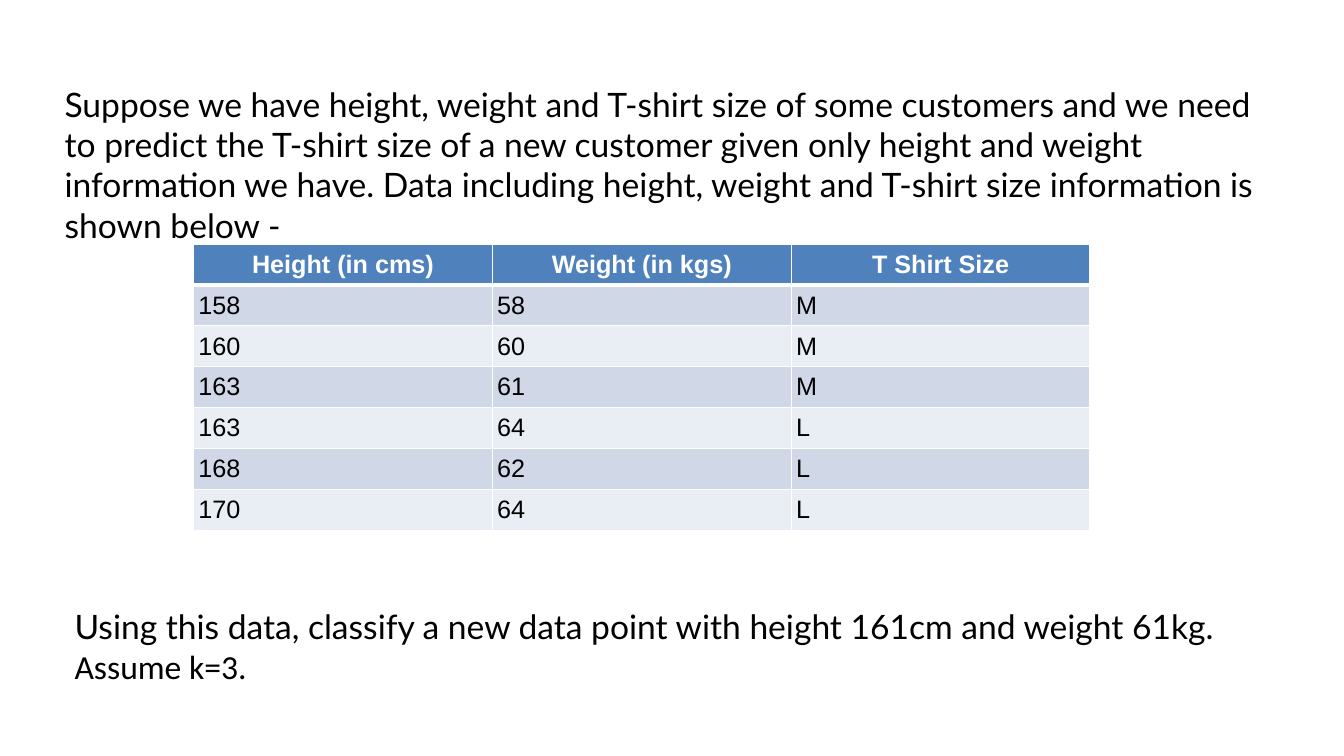
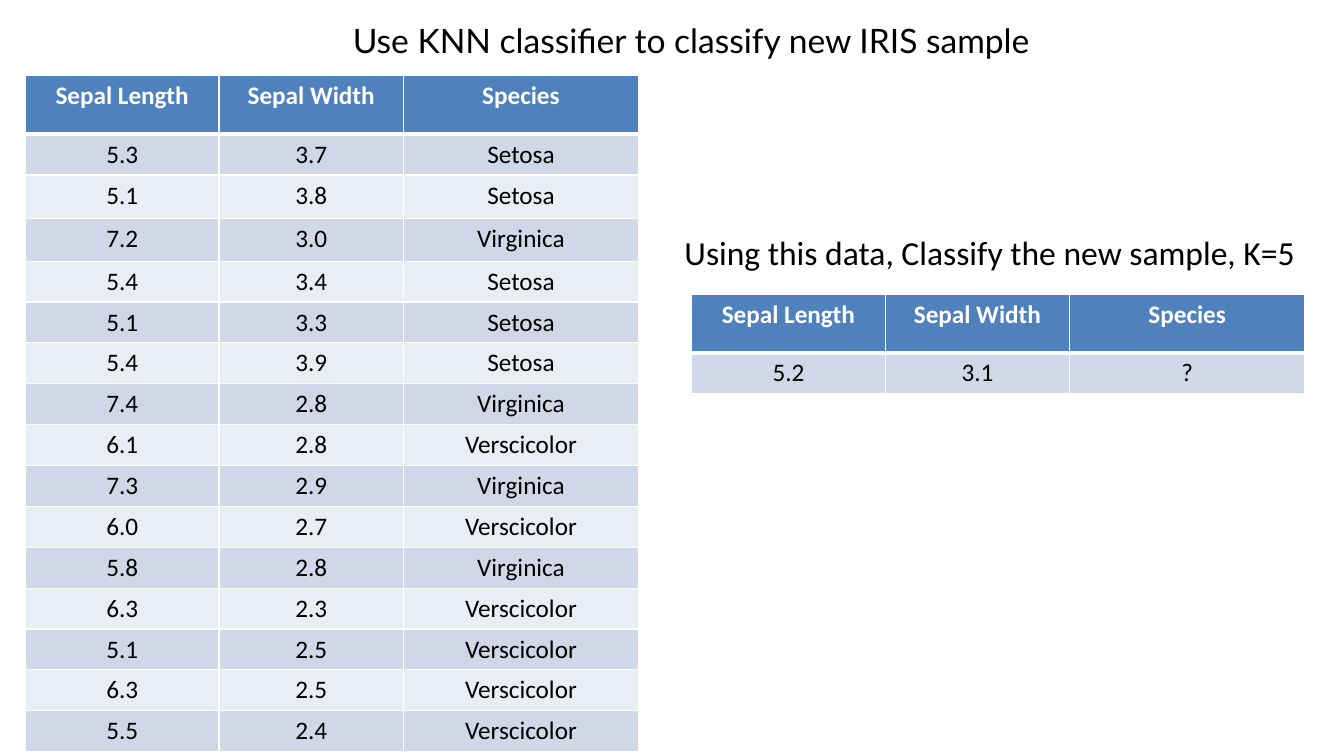
from dataclasses import dataclass

from lxml import etree
from pptx import Presentation
from pptx import util as u
from pptx.dml.color import RGBColor
from pptx.enum import text
from pptx.oxml import ns


@dataclass(frozen=True)
class Theme:
    ink: str = "000000"
    paper: str = "FFFFFF"
    header: str = "4F81BD"
    bands: tuple = ("D0D8E8", "E9EDF4")
    prose_font: str = "Lato"
    plain_font: str = "Calibri"
    data_font: str = "Arial"
    prose_size: int = 24
    table_size: int = 18
    thin: float = 1
    thick: float = 3


THEME = Theme()
ROW = 1.03
IRIS_HEADER = ("Sepal Length", "Sepal Width", "Species")
IRIS_COLUMNS = (4.88, 4.65, 5.92)
IRIS_HEADER_ROW = 1.47

SHIRTS = [
    ("Height (in cms)", "Weight (in kgs)", "T Shirt Size"),
    ("158", "58", "M"),
    ("160", "60", "M"),
    ("163", "61", "M"),
    ("163", "64", "L"),
    ("168", "62", "L"),
    ("170", "64", "L"),
]
IRIS = [
    IRIS_HEADER,
    ("5.3", "3.7", "Setosa"),
    ("5.1", "3.8", "Setosa"),
    ("7.2", "3.0", "Virginica"),
    ("5.4", "3.4", "Setosa"),
    ("5.1", "3.3", "Setosa"),
    ("5.4", "3.9", "Setosa"),
    ("7.4", "2.8", "Virginica"),
    ("6.1", "2.8", "Verscicolor"),
    ("7.3", "2.9", "Virginica"),
    ("6.0", "2.7", "Verscicolor"),
    ("5.8", "2.8", "Virginica"),
    ("6.3", "2.3", "Verscicolor"),
    ("5.1", "2.5", "Verscicolor"),
    ("6.3", "2.5", "Verscicolor"),
    ("5.5", "2.4", "Verscicolor"),
]
NEW_SAMPLE = [IRIS_HEADER, ("5.2", "3.1", "?")]


def style_font(font, name, size, color, bold=False):
    font.name = name
    font.size = u.Pt(size)
    font.bold = bold
    font.color.rgb = RGBColor.from_string(color)


def add_prose(slide, place, spans, inset=True, align=text.PP_ALIGN.LEFT, spacing=None):
    """Add one paragraph made of (words, font name) spans; place is in cm."""
    box = slide.shapes.add_textbox(*map(u.Cm, place))
    frame = box.text_frame
    frame.word_wrap = True
    frame.auto_size = text.MSO_AUTO_SIZE.SHAPE_TO_FIT_TEXT
    if not inset:
        frame.margin_left = frame.margin_right = 0
        frame.margin_top = frame.margin_bottom = 0
    para = frame.paragraphs[0]
    para.alignment = align
    if spacing:
        para.line_spacing = spacing
    style_font(para.font, spans[0][1], THEME.prose_size, THEME.ink)
    for words, font_name in spans:
        span = para.add_run()
        span.text = words
        span.font.name = font_name


def set_borders(cell, top, bottom):
    """Draw the four cell edges; must run before the cell gets its fill."""
    properties = cell._tc.get_or_add_tcPr()
    widths = {"lnL": THEME.thin, "lnR": THEME.thin, "lnT": top, "lnB": bottom}
    for edge, width in widths.items():
        line = etree.SubElement(properties, ns.qn(f"a:{edge}"), w=str(u.Pt(width)))
        fill = etree.SubElement(line, ns.qn("a:solidFill"))
        etree.SubElement(fill, ns.qn("a:srgbClr"), val=THEME.paper)


def style_cell(cell, row, font_name, align):
    is_header = row == 0
    set_borders(
        cell,
        top=THEME.thick if row == 1 else THEME.thin,
        bottom=THEME.thick if is_header else THEME.thin,
    )
    color = THEME.header if is_header else THEME.bands[(row - 1) % 2]
    cell.fill.solid()
    cell.fill.fore_color.rgb = RGBColor.from_string(color)
    para = cell.text_frame.paragraphs[0]
    para.alignment = text.PP_ALIGN.CENTER if is_header else align
    style_font(para.font, font_name, THEME.table_size,
               THEME.paper if is_header else THEME.ink, is_header)


def add_data_table(slide, left, top, columns, heights, records, font_name,
                   align=text.PP_ALIGN.CENTER, compact=False):
    """Add a banded table; compact cells have small margins and centred height."""
    frame = slide.shapes.add_table(
        len(records), len(columns), u.Cm(left), u.Cm(top),
        u.Cm(sum(columns)), u.Cm(sum(heights)))
    table = frame.table
    for column, width in zip(table.columns, columns):
        column.width = u.Cm(width)
    for row, (record, height) in enumerate(zip(records, heights)):
        table.rows[row].height = u.Cm(height)
        for column, value in enumerate(record):
            cell = table.cell(row, column)
            cell.text = value
            if compact:
                cell.vertical_anchor = text.MSO_ANCHOR.MIDDLE
                cell.margin_left = cell.margin_right = u.Cm(0.12)
                cell.margin_top = cell.margin_bottom = u.Cm(0.06)
            style_cell(cell, row, font_name, align)


def build_shirt_slide(slide):
    add_prose(slide, (1.63, 2.11, 30.6, 4.04), [(
        "Suppose we have height, weight and T-shirt size of some customers and we "
        "need to predict the T-shirt size of a new customer given only height and "
        "weight information we have. Data including height, weight and T-shirt size "
        "information is shown below -", THEME.prose_font)], inset=False)
    add_data_table(slide, 4.88, 6.15, [7.53] * 3, [ROW] * len(SHIRTS), SHIRTS,
                   THEME.data_font, text.PP_ALIGN.LEFT, compact=True)
    add_prose(slide, (1.63, 15.14, 30.6, 2.31), [
        ("Using this data, classify a new data point with height 161cm and "
         "weight 61kg. ", THEME.prose_font),
        ("Assume k=3.", THEME.plain_font)])


def build_iris_slide(slide):
    add_prose(slide, (2.12, 0, 30.6, 1.47),
              [("Use KNN classifier to classify new IRIS sample", THEME.prose_font)],
              inset=False, align=text.PP_ALIGN.CENTER, spacing=1.5)
    heights = [IRIS_HEADER_ROW, ROW, 1.1, 1.07] + [ROW] * (len(IRIS) - 4)
    add_data_table(slide, 0.64, 1.91, IRIS_COLUMNS, heights, IRIS, THEME.plain_font)
    add_prose(slide, (17, 5.72, 16.3, 1.28),
              [("Using this data, Classify the new sample, K=5", THEME.plain_font)])
    add_data_table(slide, 17.43, 7.42, IRIS_COLUMNS, [IRIS_HEADER_ROW, ROW],
                   NEW_SAMPLE, THEME.plain_font)


def main():
    deck = Presentation()
    deck.slide_width, deck.slide_height = u.Cm(33.87), u.Cm(19.05)
    blank = deck.slide_layouts[6]
    for build in (build_shirt_slide, build_iris_slide):
        build(deck.slides.add_slide(blank))
    deck.save("out.pptx")


if __name__ == "__main__":
    main()
